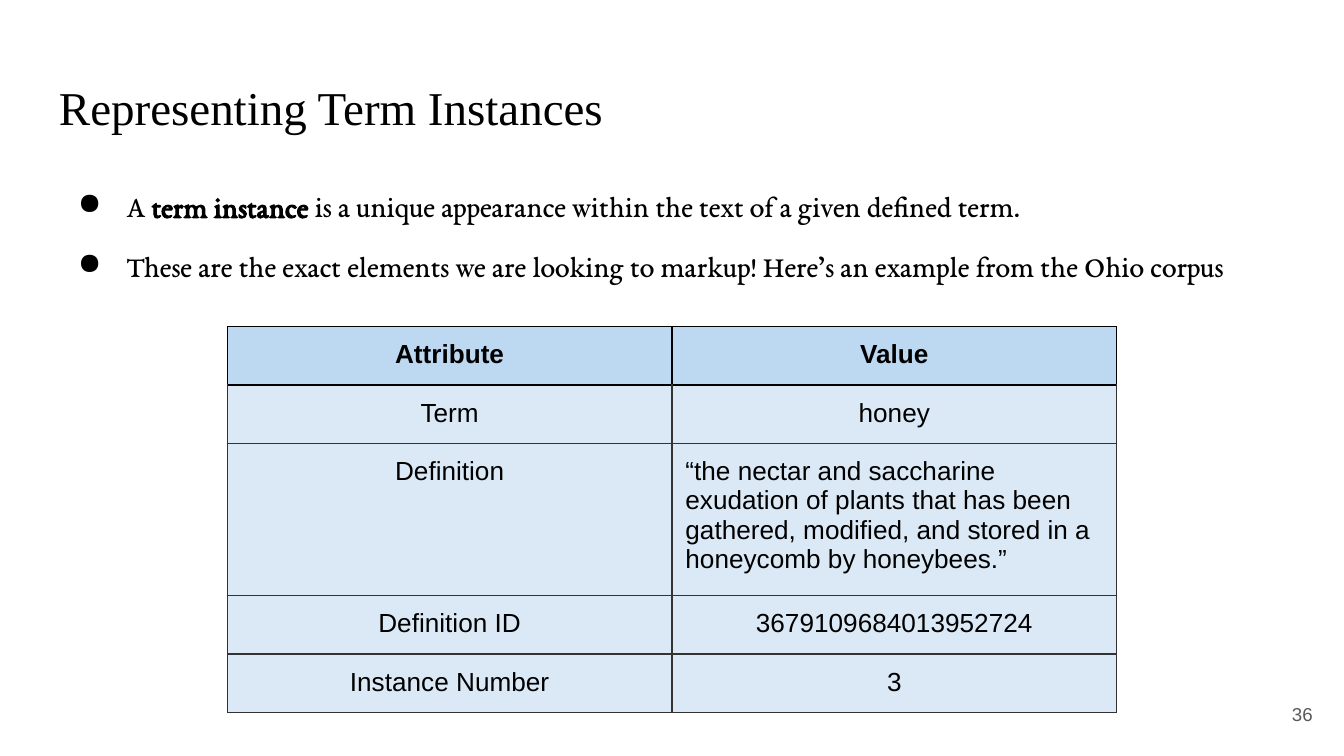
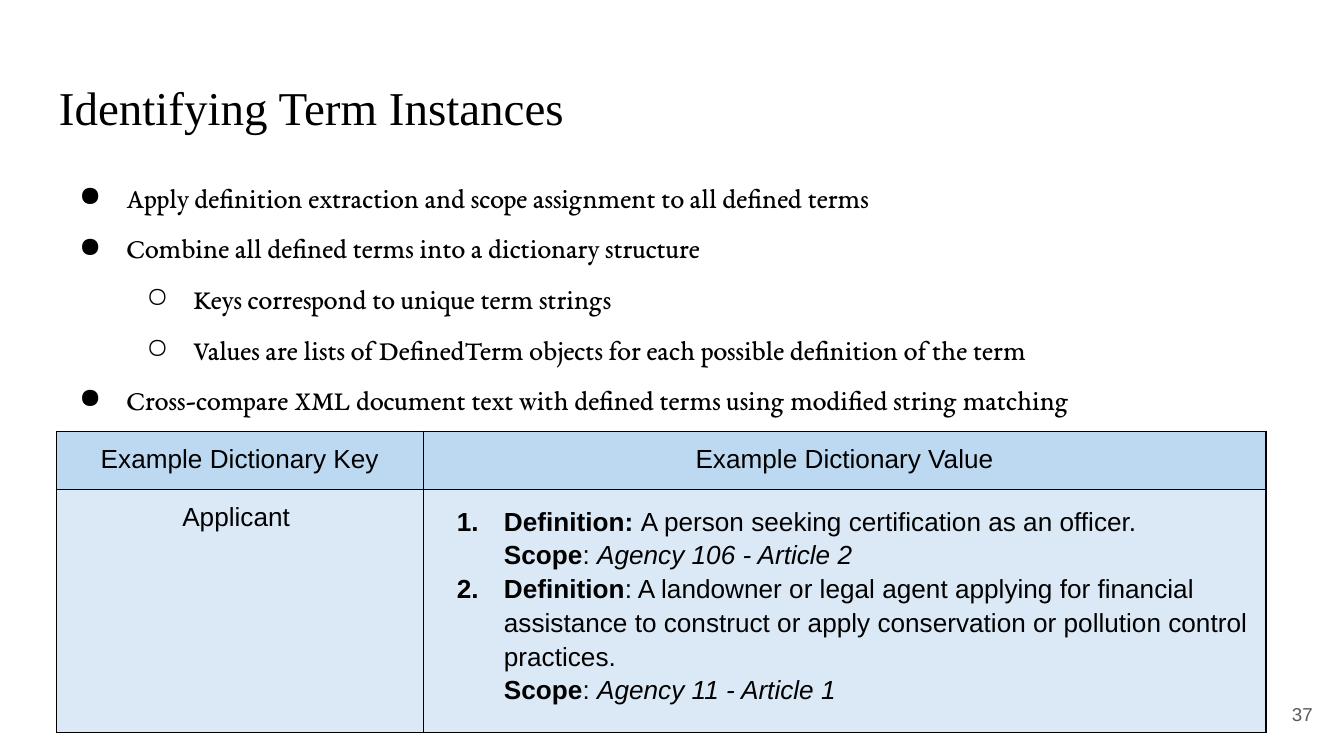
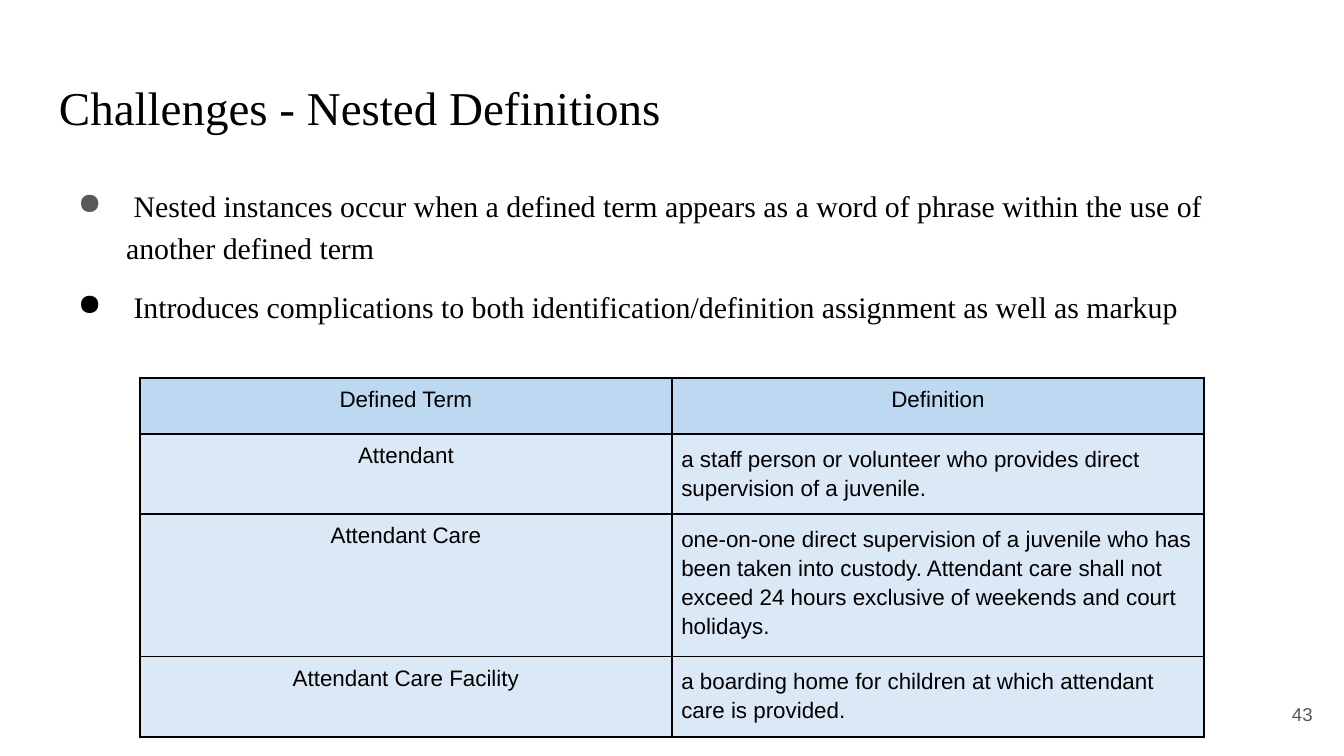
from lxml import etree
from pptx import Presentation
from pptx.dml.color import RGBColor
from pptx.enum import text as t
from pptx.oxml import ns
from pptx.util import Pt

INK, GREY, DARK = "000000", "595959", "333333"
HEAD, PALE = "BDD8F1", "DBE9F6"
SERIF, SANS, BOOK = "Times New Roman", "Arial", "EB Garamond"
LEFT, MID, RIGHT = t.PP_ALIGN.LEFT, t.PP_ALIGN.CENTER, t.PP_ALIGN.RIGHT


def hue(code):
    return RGBColor.from_string(code)


def write(frame, items, font, size, tint=INK, side=LEFT, lead=1.0, gap=0, hang=25.2, inset=7.2):
    """Items are (mark, text, mark colour); runs split at |, * is bold, ~ is italic."""
    frame.word_wrap = True
    frame.margin_left = frame.margin_right = Pt(inset)
    frame.margin_top = frame.margin_bottom = Pt(inset)
    for n, (mark, line, dot) in enumerate(items):
        para = frame.paragraphs[0] if n == 0 else frame.add_paragraph()
        para.alignment, para.line_spacing = side, lead
        para.space_before = Pt(gap if n else 0)
        for part in line.split("|"):
            run = para.add_run()
            run.text = part.lstrip("*~")
            run.font.name, run.font.size = font, Pt(size)
            run.font.color.rgb = hue(tint)
            run.font.bold = part.startswith("*")
            run.font.italic = part.startswith("~")
        if not mark:
            continue
        # Indents and bullets; "-" continues the item above
        para.level = 1 if mark == "○" else 0
        props = para._p.get_or_add_pPr()
        props.set("marL", str(Pt(36 * (para.level + 1))))
        props.set("indent", str(Pt(0 if mark == "-" else -hang)))
        if mark == "-":
            etree.SubElement(props, ns.qn("a:buNone"))
            continue
        shade = etree.SubElement(props, ns.qn("a:buClr"))
        etree.SubElement(shade, ns.qn("a:srgbClr"), val=dot)
        if mark.isdigit():
            etree.SubElement(props, ns.qn("a:buAutoNum"), type="arabicPeriod", startAt=mark)
        else:
            etree.SubElement(props, ns.qn("a:buChar"), char=mark)


pages = [
    dict(
        title="Representing Term Instances", num="36",
        body=dict(font=BOOK, size=16, lead=1.15, hang=25.9), tall=269,
        points=[
            ("●", "A |*term instance |is a unique appearance within the text of a given defined term.", INK),
            ("●", "These are the exact elements we are looking to markup! "
                  "Here’s an example from the Ohio corpus", INK),
        ],
        spot=(121.8, 175), cols=[238.2, 238.2], rows=[30.2, 30.2, 77.4, 30.2, 30.2],
        cell=dict(size=14, inset=7.2), lead=1.0, line=0.75, edge=DARK,
        grid=[
            ("*Attribute", "*Value"),
            ("Term", "honey"),
            ("Definition", "“the nectar and saccharine exudation of plants that has been gathered, "
                           "modified, and stored in a honeycomb by honeybees.”"),
            ("Definition ID", "3679109684013952724"),
            ("Instance Number", "3"),
        ],
    ),
    dict(
        title="Identifying Term Instances", num="37",
        body=dict(font=BOOK, size=15, lead=0.95), tall=140,
        points=[
            ("●", "Apply definition extraction and scope assignment to all defined terms", INK),
            ("●", "Combine all defined terms into a dictionary structure", INK),
            ("○", "Keys correspond to unique term strings", INK),
            ("○", "Values are lists of DefinedTerm objects for each possible definition of the term", INK),
            ("●", "Cross-compare XML document text with defined terms using modified string matching", INK),
        ],
        spot=(30.2, 231), cols=[196.6, 451.4], rows=[31, 122.6],
        cell=dict(size=14, inset=7.2), lead=1.15, line=0.75, edge=INK,
        grid=[
            ("Example Dictionary Key", "Example Dictionary Value"),
            ("Applicant ", [
                ("1", "*Definition: |A person seeking certification as an officer.", INK),
                ("-", "*Scope|: |~Agency 106 - Article 2", INK),
                ("2", "*Definition|: A landowner or legal agent applying for financial assistance "
                      "to construct or apply conservation or pollution control practices.", INK),
                ("-", "*Scope|: |~Agency 11 - Article 1", INK),
            ]),
        ],
    ),
    dict(
        title="Challenges - Nested Definitions", num="43",
        body=dict(font=SERIF, size=16, lead=1.15, hang=25.9), tall=269,
        points=[
            ("●", " Nested instances occur when a defined term appears as a word of phrase "
                  "within the use of another defined term", GREY),
            ("●", " Introduces complications to both identification/definition assignment "
                  "as well as markup", INK),
        ],
        spot=(75, 202.4), cols=[285, 285], rows=[30, 41, 71.8, 41],
        cell=dict(size=12, inset=5), lead=1.15, line=1, edge=INK,
        grid=[
            ("Defined Term", "Definition"),
            ("Attendant", "a staff person or volunteer who provides direct supervision of a juvenile."),
            ("Attendant Care", "one-on-one direct supervision of a juvenile who has been taken into custody. "
                               "Attendant care shall not exceed 24 hours exclusive of weekends and court holidays."),
            ("Attendant Care Facility", "a boarding home for children at which attendant care is provided."),
        ],
    ),
]

deck = Presentation()
deck.slide_width, deck.slide_height = Pt(720), Pt(405)

for page in pages:
    slide = deck.slides.add_slide(deck.slide_layouts[6])
    slide.background.fill.solid()
    slide.background.fill.fore_color.rgb = hue("FFFFFF")

    # Title, bullets and page number
    box = slide.shapes.add_textbox(Pt(24.5), Pt(35), Pt(671), Pt(45))
    write(box.text_frame, [("", page["title"], INK)], SERIF, 25.2)
    box = slide.shapes.add_textbox(Pt(24.5), Pt(90.7), Pt(671), Pt(page["tall"]))
    write(box.text_frame, page["points"], gap=10, **page["body"])
    box = slide.shapes.add_textbox(Pt(667.1), Pt(367.2), Pt(43.2), Pt(31))
    write(box.text_frame, [("", page["num"], INK)], SANS, 10, GREY, RIGHT)
    box.text_frame.vertical_anchor = t.MSO_ANCHOR.MIDDLE

    # Table
    cols, rows = page["cols"], page["rows"]
    left, top = page["spot"]
    table = slide.shapes.add_table(len(rows), len(cols), Pt(left), Pt(top),
                                   Pt(sum(cols)), Pt(sum(rows))).table
    table.first_row = table.horz_banding = False
    for c, wide in enumerate(cols):
        table.columns[c].width = Pt(wide)
    for r, high in enumerate(rows):
        table.rows[r].height = Pt(high)
        for c, entry in enumerate(page["grid"][r]):
            cell = table.cell(r, c)
            plain = isinstance(entry, str)
            long = not plain or len(entry) > 30
            write(cell.text_frame, [("", entry, INK)] if plain else entry, SANS,
                  side=LEFT if long else MID, lead=page["lead"] if long else 1.0, **page["cell"])
            pad = Pt(page["cell"]["inset"])
            cell.margin_left = cell.margin_right = cell.margin_top = cell.margin_bottom = pad

            # Borders come before the fill
            props = cell._tc.get_or_add_tcPr()
            for edge in "LRTB":
                black = r == 0 or (r == 1 and edge == "T")
                line = etree.SubElement(props, ns.qn("a:ln" + edge), w=str(Pt(page["line"])))
                fill = etree.SubElement(line, ns.qn("a:solidFill"))
                etree.SubElement(fill, ns.qn("a:srgbClr"), val=INK if black else page["edge"])
            cell.fill.solid()
            cell.fill.fore_color.rgb = hue(PALE if r else HEAD)

deck.save("out.pptx")
